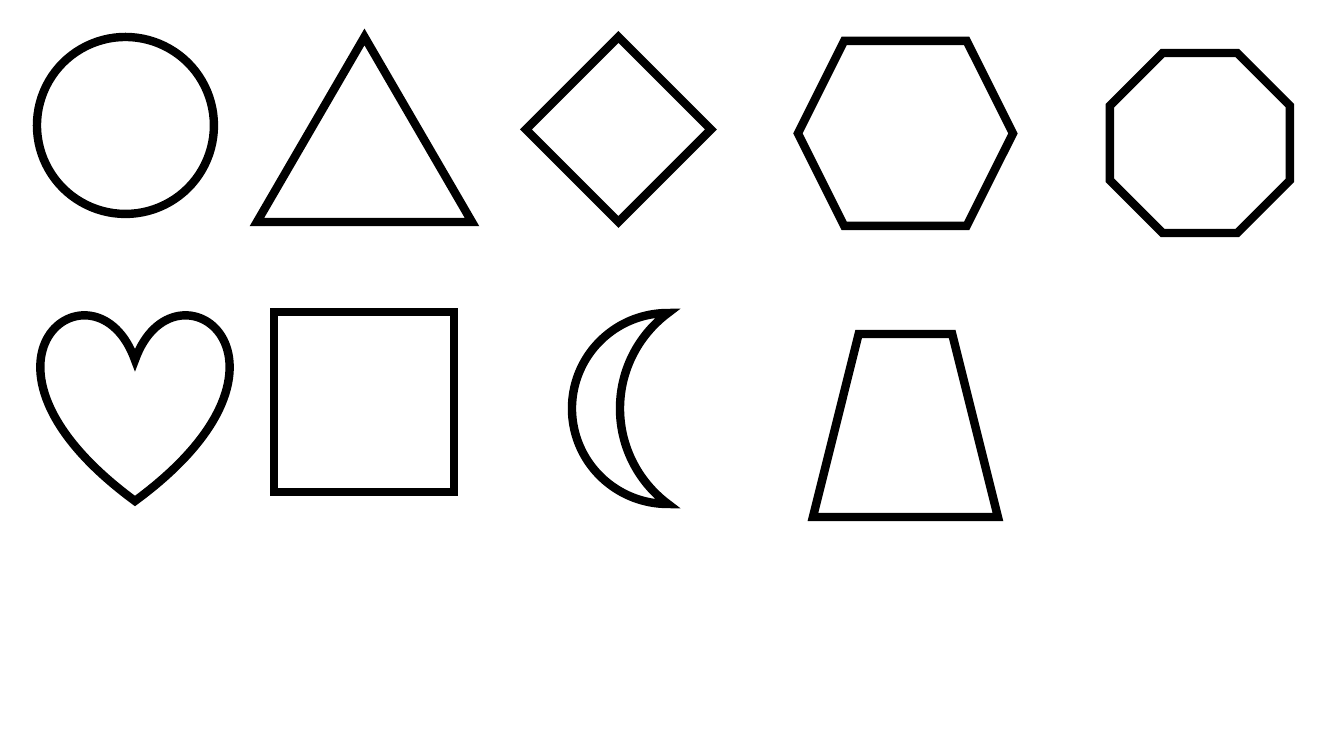
import pptx
import pptx.util
import pptx.dml.color
import pptx.enum.shapes
import pptx.oxml

SCALE = 914400 / 100.8
COLORS = {"ink": "000000", "paper": "FFFFFF"}
KIND = pptx.enum.shapes.MSO_SHAPE
MITER = ('<a:miter xmlns:a="http://schemas.openxmlformats.org/'
         'drawingml/2006/main" lim="800000"/>')

# kind, left, top, width, height
SHAPES = [
    (KIND.OVAL, 37, 37, 177, 177),
    (KIND.RECTANGLE, 274, 312, 180, 180),
    (KIND.OCTAGON, 1110, 53, 180, 180),
    (KIND.HEXAGON, 798, 41, 215, 185),
    (KIND.ISOSCELES_TRIANGLE, 257, 37, 215, 185),
    (KIND.DIAMOND, 526, 37, 185, 185),
    (KIND.HEART, 41, 313, 188, 188),
    (KIND.MOON, 572, 313, 96, 191),
    (KIND.TRAPEZOID, 813, 334, 185, 183),
]


def emu(px):
    """Turn pixels into EMU."""
    return pptx.util.Emu(round(px * SCALE))


def color(name):
    """Return a named colour."""
    return pptx.dml.color.RGBColor.from_string(COLORS[name])


def style(item, values):
    """Set attributes from a dict of format values."""
    for name, value in values.items():
        setattr(item, name, value)


def outline(slide, kind, box, fill=None):
    """Draw a preset shape with a thick, sharp-cornered outline."""
    shape = slide.shapes.add_shape(kind, *map(emu, box))
    shape.shadow.inherit = False
    if fill:
        shape.fill.solid()
        style(shape.fill.fore_color, {"rgb": color(fill)})
    else:
        shape.fill.background()
    style(shape.line, {"width": pptx.util.Pt(6)})
    style(shape.line.color, {"rgb": color("ink")})
    shape.line._get_or_add_ln().append(pptx.oxml.parse_xml(MITER))


def main():
    """Build the slide of basic shapes."""
    deck = pptx.Presentation()
    style(deck, {"slide_width": emu(1344), "slide_height": emu(756)})
    slide = deck.slides.add_slide(deck.slide_layouts[6])
    for kind, *box in SHAPES:
        outline(slide, kind, box, "paper" if kind == KIND.OVAL else None)
    deck.save("out.pptx")


main()
